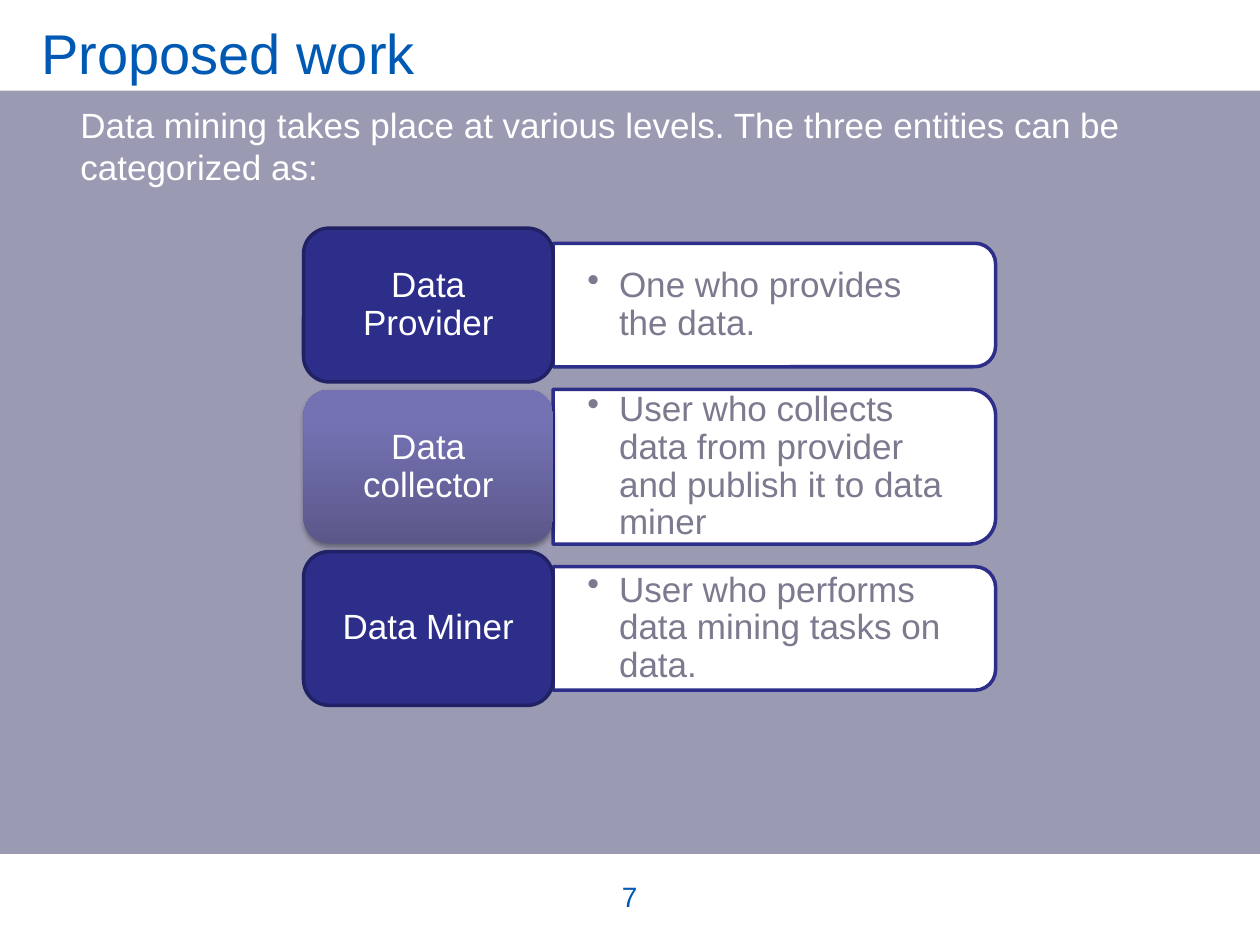
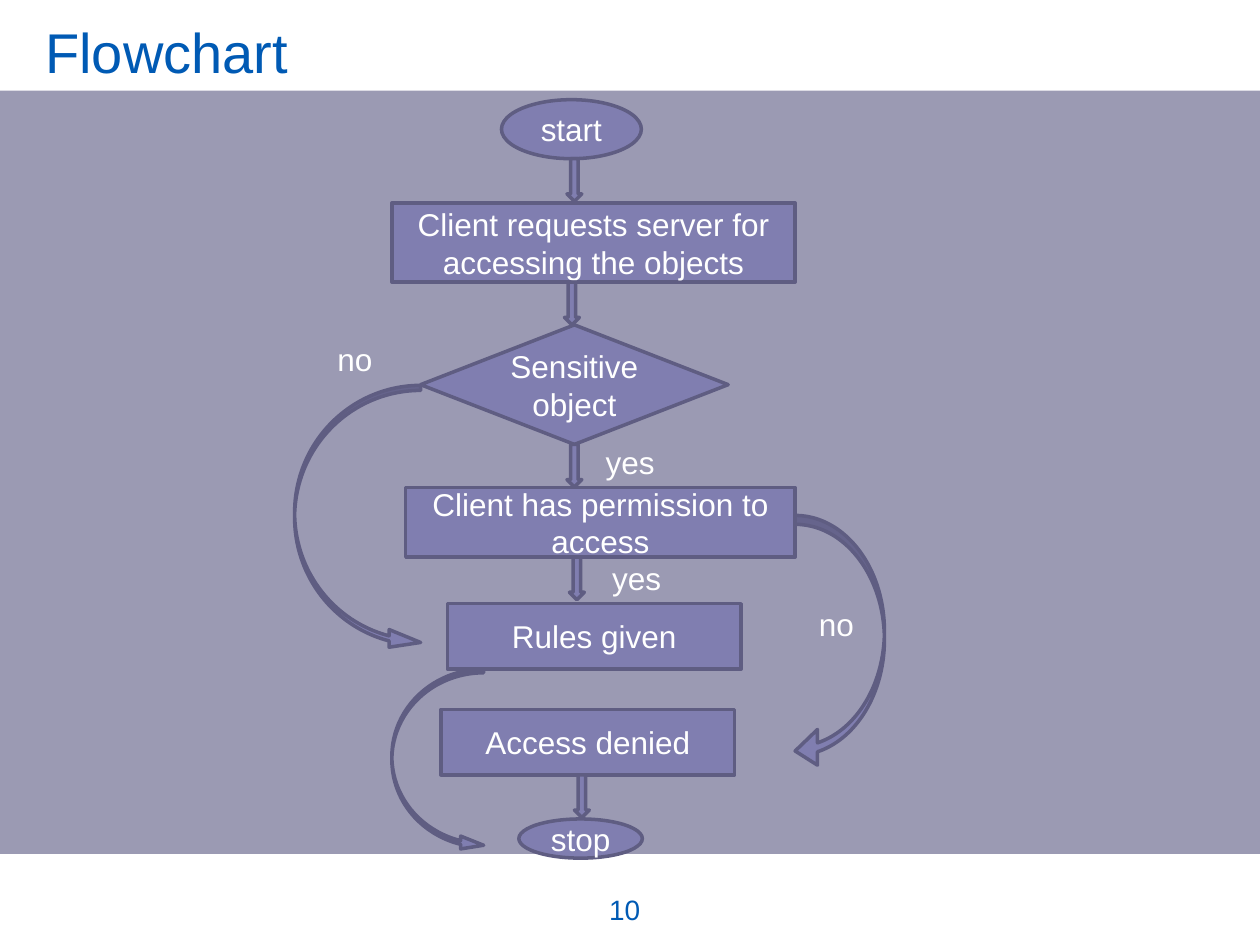
"""Builds two slides: the entities of data mining and an access flowchart."""
from lxml import etree
from pptx import Presentation
from pptx.dml.color import RGBColor
from pptx.enum.shapes import MSO_SHAPE
from pptx.enum.text import MSO_ANCHOR, MSO_AUTO_SIZE, PP_ALIGN
from pptx.oxml.ns import qn
from pptx.util import Cm, Pt

LEFT, CENTER = PP_ALIGN.LEFT, PP_ALIGN.CENTER
TOP, MIDDLE, BOTTOM = MSO_ANCHOR.TOP, MSO_ANCHOR.MIDDLE, MSO_ANCHOR.BOTTOM
FIXED_SIZE = MSO_AUTO_SIZE.NONE
RECTANGLE, OVAL = MSO_SHAPE.RECTANGLE, MSO_SHAPE.OVAL
ROUNDED, ROUNDED_END = MSO_SHAPE.ROUNDED_RECTANGLE, MSO_SHAPE.ROUND_2_SAME_RECTANGLE
PROCESS, DECISION = MSO_SHAPE.FLOWCHART_PROCESS, MSO_SHAPE.FLOWCHART_DECISION
DOWN_ARROW = MSO_SHAPE.DOWN_ARROW
CURVED_RIGHT, CURVED_LEFT = MSO_SHAPE.CURVED_RIGHT_ARROW, MSO_SHAPE.CURVED_LEFT_ARROW

FONT = "Arial"
COLORS = {
    "background": "9B9AB3",
    "white": "FFFFFF",
    "heading": "005AB4",
    "navy": "2D2D8A",
    "navy_edge": "212166",
    "description": "7B7A8E",
    "node": "807EB0",
    "node_edge": "5F5D82",
    "gradient_dark": "5A5889",
    "gradient_light": "7572B4",
}
SLIDE_WIDTH, SLIDE_HEIGHT, BAND_HEIGHT = 25.4, 19.05, 1.83

ENTITIES = [
    ("Data Provider", "One who provides the data.", 2.49),
    ("Data collector", "User who collects data from provider and publish it to data miner", 3.12),
    ("Data Miner", "User who performs data mining tasks on data.", 2.49),
]
ENTITY_LEFT, ENTITY_TOP, ENTITY_WIDTH, ENTITY_HEIGHT = 6.12, 4.6, 5.03, 3.1
ENTITY_PITCH, PANEL_WIDTH = 3.26, 8.92

# Kind, text, box, and the left edge of the arrow that leaves the node
FLOW_NODES = [
    (OVAL, "start", (10.11, 2.01, 2.82, 1.19), 11.43),
    (RECTANGLE, "Client requests server for accessing the objects", (7.9, 4.09, 8.13, 1.6), 11.38),
    (DECISION, "Sensitive object", (8.48, 6.55, 6.2, 2.41), 11.43),
    (PROCESS, "Client has permission to access", (8.18, 9.83, 7.85, 1.4), 11.48),
    (PROCESS, "Rules given", (9.02, 12.17, 5.92, 1.32), None),
    (PROCESS, "Access denied", (8.89, 14.3, 5.92, 1.32), 11.58),
    (OVAL, "stop", (10.46, 16.51, 2.49, 0.79), None),
]
FLOW_ARROW_WIDTH, FLOW_ARROW_HEIGHT = 0.3, 0.86
FLOW_CURVES = [
    (CURVED_RIGHT, (5.94, 7.77, 2.54, 5.36), (0.04, 0.14, 0.25)),
    (CURVED_LEFT, (16.03, 10.39, 1.8, 5.11), (0.1, 0.4, 0.25)),
    (CURVED_RIGHT, (7.9, 13.49, 1.85, 3.68), (0.04, 0.14, 0.25)),
]
FLOW_LABELS = [
    ("yes", (11.96, 8.81, 2.72, 1.02)),
    ("yes", (12.09, 11.15, 2.72, 1.02)),
    ("no", (6.55, 6.73, 1.37, 1.02)),
    ("no", (16.26, 12.07, 1.37, 1.02)),
]


def rgb(name):
    """Return the named colour."""
    return RGBColor.from_string(COLORS[name])


def to_cm(box):
    """Convert a box of numbers to lengths."""
    return [Cm(value) for value in box]


def write_text(shape, text, size, color="white", align=LEFT, anchor=TOP, insets=None):
    """Write one formatted paragraph into a shape and return it."""
    frame = shape.text_frame
    frame.word_wrap = True
    frame.auto_size = FIXED_SIZE
    frame.vertical_anchor = anchor
    if insets:
        frame.margin_left = frame.margin_right = Cm(insets[0])
        frame.margin_top = frame.margin_bottom = Cm(insets[1])
    paragraph = frame.paragraphs[0]
    paragraph.alignment = align
    run = paragraph.add_run()
    run.text = text
    run.font.name = FONT
    run.font.size = Pt(size)
    run.font.color.rgb = rgb(color)
    return paragraph


def add_text(slide, box, text, size, **style):
    """Add a text box and return its paragraph."""
    return write_text(slide.shapes.add_textbox(*to_cm(box)), text, size, **style)


def add_filled_shape(slide, kind, box, fill, edge=None):
    """Add a preset shape with a flat fill and an optional outline."""
    shape = slide.shapes.add_shape(kind, *to_cm(box))
    shape.shadow.inherit = False
    shape.fill.solid()
    shape.fill.fore_color.rgb = rgb(fill)
    if edge:
        shape.line.color.rgb = rgb(edge)
        shape.line.width = Pt(2)
    else:
        shape.line.fill.background()
    return shape


def add_bands(slide):
    """Put the white bands on the layout that the slides share."""
    first_placeholder = slide.slide_layout.placeholders[0]
    for top in (0, SLIDE_HEIGHT - BAND_HEIGHT):
        band = add_filled_shape(slide, RECTANGLE, (0, top, SLIDE_WIDTH, BAND_HEIGHT), "white")
        first_placeholder.element.addprevious(band.element)


def add_titled_slide(presentation, title, title_box, number, number_box):
    """Add a slide with its title and page number."""
    slide = presentation.slides.add_slide(presentation.slide_layouts[5])
    placeholder = slide.shapes.title
    placeholder.left, placeholder.top, placeholder.width, placeholder.height = to_cm(title_box)
    write_text(placeholder, title, 32, color="heading", anchor=MIDDLE)
    add_text(slide, number_box, number, 16, color="heading", align=CENTER, anchor=BOTTOM)
    return slide


def add_bullet(paragraph):
    """Give a paragraph a hanging bullet."""
    properties = paragraph._p.get_or_add_pPr()
    properties.set("marL", str(Cm(0.64)))
    properties.set("indent", str(-Cm(0.64)))
    etree.SubElement(properties, qn("a:buChar"), char="•")


def highlight(shape):
    """Give a shape a vertical gradient and a soft shadow."""
    shape.line.fill.background()
    shape.fill.gradient()
    shape.fill.gradient_angle = 90
    dark, light = shape.fill.gradient_stops
    dark.color.rgb, dark.position = rgb("gradient_dark"), 0
    light.color.rgb, light.position = rgb("gradient_light"), 0.8
    effects = shape.element.spPr.find(qn("a:effectLst"))
    shadow = etree.SubElement(effects, qn("a:outerShdw"), blurRad=str(Pt(3.1)),
                              dist=str(Pt(1.8)), dir="5400000", rotWithShape="0")
    color = etree.SubElement(shadow, qn("a:srgbClr"), val="000000")
    etree.SubElement(color, qn("a:alpha"), val="35000")


def add_entity(slide, top, name, description, panel_height):
    """Add an entity label with its description panel and return the label."""
    panel_left = ENTITY_LEFT + ENTITY_WIDTH
    center_x, center_y = panel_left + PANEL_WIDTH / 2, top + ENTITY_HEIGHT / 2
    panel_box = (center_x - panel_height / 2, center_y - PANEL_WIDTH / 2, panel_height, PANEL_WIDTH)
    panel = add_filled_shape(slide, ROUNDED_END, panel_box, "white", "navy")
    panel.rotation = 90
    text_box = (panel_left, center_y - panel_height / 2, PANEL_WIDTH - 0.1, panel_height)
    paragraph = add_text(slide, text_box, description, 20, color="description",
                         anchor=MIDDLE, insets=(0.69, 0.36))
    paragraph.line_spacing = 0.9
    add_bullet(paragraph)
    label_box = (ENTITY_LEFT, top, ENTITY_WIDTH, ENTITY_HEIGHT)
    label = add_filled_shape(slide, ROUNDED, label_box, "navy", "navy_edge")
    paragraph = write_text(label, name, 20, align=CENTER, anchor=MIDDLE, insets=(0.25, 0.1))
    paragraph.line_spacing = 0.9
    return label


def add_node(slide, kind, text, box, arrow_left):
    """Add a flowchart node and the arrow below it."""
    node = add_filled_shape(slide, kind, box, "node", "node_edge")
    write_text(node, text, 18, align=CENTER, anchor=MIDDLE)
    if arrow_left:
        arrow_box = (arrow_left, box[1] + box[3], FLOW_ARROW_WIDTH, FLOW_ARROW_HEIGHT)
        add_filled_shape(slide, DOWN_ARROW, arrow_box, "node", "node_edge")


def add_curve(slide, kind, box, adjustments):
    """Add a curved block arrow."""
    curve = add_filled_shape(slide, kind, box, "node", "node_edge")
    for index, value in enumerate(adjustments):
        curve.adjustments[index] = value


def build_proposed_work(presentation):
    """Build the slide of the three entities."""
    slide = add_titled_slide(presentation, "Proposed work", (0.58, 0.2, 22.3, 1.7),
                             "7", (7.54, 17.22, 10.31, 1.32))
    add_bands(slide)
    add_text(slide, (1.37, 1.96, 21.92, 2.26),
             "Data mining takes place at various levels. "
             "The three entities can be categorized as:", 20)
    labels = [add_entity(slide, ENTITY_TOP + row * ENTITY_PITCH, *entity)
              for row, entity in enumerate(ENTITIES)]
    highlight(labels[1])


def build_flowchart(presentation):
    """Build the flowchart slide."""
    slide = add_titled_slide(presentation, "Flowchart", (0.66, 0.18, 24.74, 1.7),
                             "10", (7.44, 17.48, 10.31, 1.32))
    for node in FLOW_NODES:
        add_node(slide, *node)
    for curve in FLOW_CURVES:
        add_curve(slide, *curve)
    for text, box in FLOW_LABELS:
        add_text(slide, box, text, 18)


def main():
    """Build and save the presentation."""
    presentation = Presentation()
    presentation.slide_width, presentation.slide_height = to_cm((SLIDE_WIDTH, SLIDE_HEIGHT))
    background = presentation.slide_master.background.fill
    background.solid()
    background.fore_color.rgb = rgb("background")
    build_proposed_work(presentation)
    build_flowchart(presentation)
    presentation.save("out.pptx")


if __name__ == "__main__":
    main()
